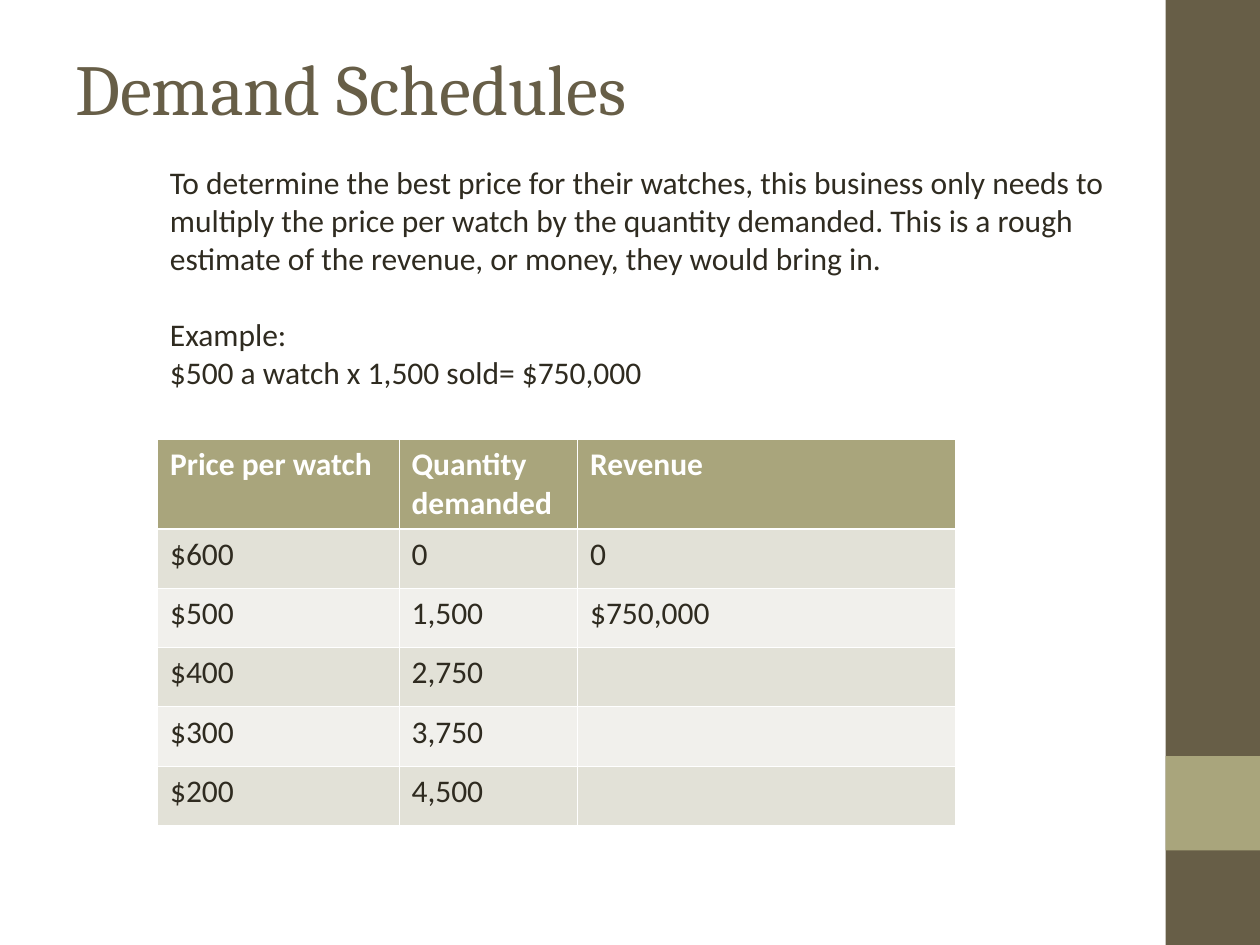
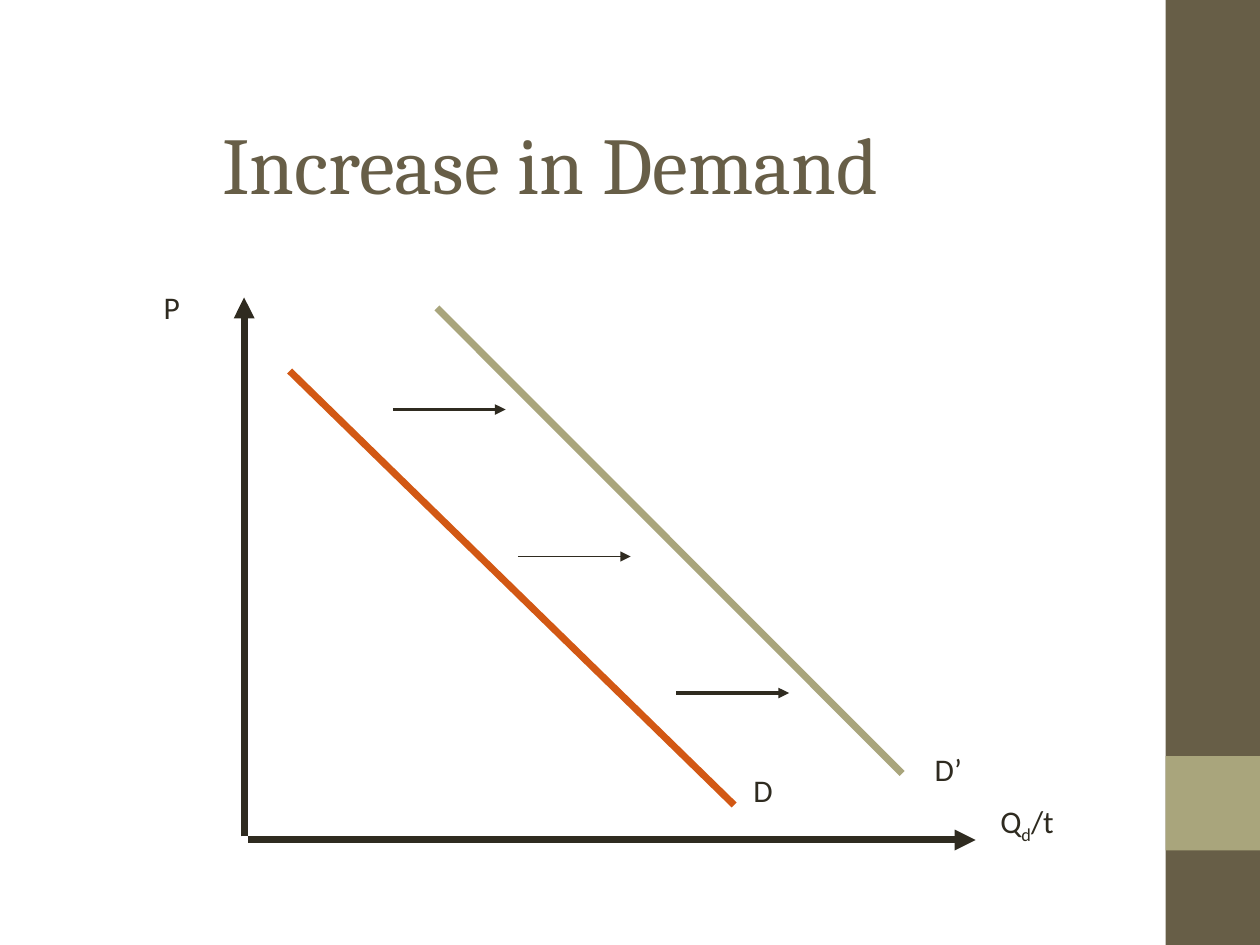
from typing import NamedTuple

from lxml.etree import SubElement
from pptx import Presentation
from pptx.dml.color import RGBColor
from pptx.enum.shapes import MSO_CONNECTOR, MSO_SHAPE
from pptx.enum.text import MSO_ANCHOR
from pptx.oxml.ns import qn
from pptx.slide import Slide
from pptx.table import _Cell
from pptx.text.text import TextFrame, _Paragraph
from pptx.util import Pt

COLORS = {
    "background": "FFFFFF",
    "brown": "675E47",
    "olive": "A9A57C",
    "ink": "2F2B20",
    "orange": "D25814",
    "band_dark": "E2E1D7",
    "band_light": "F1F0EC",
    "white": "FFFFFF",
}
TITLE_FONT = "Cambria"
BODY_FONT = "Calibri"
BODY_SIZE = 18
BODY_LINE = 21.8


class Area(NamedTuple):
    left: float
    top: float
    width: float
    height: float


class Span(NamedTuple):
    text: str
    subscript: bool = False


class Label(NamedTuple):
    spans: list[Span]
    area: Area


class Line(NamedTuple):
    start: tuple[float, float]
    end: tuple[float, float]
    color: str
    weight: float
    arrow: bool = False


SIDEBAR = [
    (Area(666, 0, 54, 540), "brown"),
    (Area(666, 432, 54, 54), "olive"),
]

EXPLANATION = (
    "To determine the best price for their watches, this business only needs to "
    "multiply the price per watch by the quantity demanded. This is a rough "
    "estimate of the revenue, or money, they would bring in."
)
EXAMPLE = ["Example:", "$500 a watch x 1,500 sold= $750,000"]

SCHEDULE = [
    ["Price per watch", "Quantity demanded", "Revenue"],
    ["$600", "0", "0"],
    ["$500", "1,500", "$750,000"],
    ["$400", "2,750", ""],
    ["$300", "3,750", ""],
    ["$200", "4,500", ""],
]
SCHEDULE_WIDTHS = [138, 102, 216]
HEADER_HEIGHT = 51
ROW_HEIGHT = 33.9

AXES_AND_CURVES = [
    Line((139.5, 478), (139.5, 170), "ink", 4, arrow=True),
    Line((141.5, 480), (557.5, 480), "ink", 4, arrow=True),
    Line((165.5, 212), (419.5, 460), "orange", 4),
    Line((249.7, 176), (515.5, 442), "olive", 4),
]
SHIFT_ARROWS = [
    Line((left, top), (left + 64.4, top), "ink", weight, arrow=True)
    for left, top, weight in [(224.5, 234, 2), (296, 318, 1), (386.5, 396, 2)]
]
LABELS = [
    Label([Span("P")], Area(86.4, 160.8, 30, 29)),
    Label([Span("Q"), Span("d", subscript=True), Span("/t")],
          Area(564.5, 455, 71, 32)),
    Label([Span("D")], Area(423.5, 437, 30, 29)),
    Label([Span("D’")], Area(527, 425, 40, 29)),
]


def rgb(name: str) -> RGBColor:
    return RGBColor.from_string(COLORS[name])


def points(area: Area) -> list[Pt]:
    return [Pt(length) for length in area]


def add_span(para: _Paragraph, span: Span, size: float = BODY_SIZE,
             color: str = "ink", font: str = BODY_FONT, bold: bool = False) -> None:
    run = para.add_run()
    run.text = span.text
    run.font.name = font
    run.font.size = Pt(size)
    run.font.bold = bold
    run.font.color.rgb = rgb(color)
    if span.subscript:
        run._r.get_or_add_rPr().set("baseline", "-25000")


def add_box(page: Slide, area: Area) -> TextFrame:
    frame = page.shapes.add_textbox(*points(area)).text_frame
    frame.word_wrap = True
    return frame


def add_page(deck, title: str, title_area: Area, title_size: float) -> Slide:
    """Add a blank page with the sidebar and a title."""
    page = deck.slides.add_slide(deck.slide_layouts[6])
    page.background.fill.solid()
    page.background.fill.fore_color.rgb = rgb("background")
    for area, color in SIDEBAR:
        band = page.shapes.add_shape(MSO_SHAPE.RECTANGLE, *points(area))
        band.shadow.inherit = False
        band.fill.solid()
        band.fill.fore_color.rgb = rgb(color)
        band.line.fill.background()
    frame = add_box(page, title_area)
    frame.vertical_anchor = MSO_ANCHOR.MIDDLE
    add_span(frame.paragraphs[0], Span(title), title_size, "brown", TITLE_FONT)
    return page


def add_line(page: Slide, line: Line) -> None:
    ends = [Pt(length) for length in (*line.start, *line.end)]
    connector = page.shapes.add_connector(MSO_CONNECTOR.STRAIGHT, *ends)
    connector.line.color.rgb = rgb(line.color)
    connector.line.width = Pt(line.weight)
    if line.arrow:
        SubElement(connector.line._get_or_add_ln(), qn("a:tailEnd"), type="triangle")
    SubElement(connector._element.spPr, qn("a:effectLst"))


def set_border(cell: _Cell, side: str, weight: float) -> None:
    border = SubElement(cell._tc.get_or_add_tcPr(), qn(f"a:ln{side}"), w=str(Pt(weight)))
    fill = SubElement(border, qn("a:solidFill"))
    SubElement(fill, qn("a:srgbClr"), val=COLORS["white"])


def add_schedule(page: Slide) -> None:
    body_rows = len(SCHEDULE) - 1
    area = Area(90, 251.2, sum(SCHEDULE_WIDTHS), HEADER_HEIGHT + body_rows * ROW_HEIGHT)
    table = page.shapes.add_table(
        len(SCHEDULE), len(SCHEDULE_WIDTHS), *points(area)).table
    table.first_row = table.horz_banding = False
    for column, width in zip(table.columns, SCHEDULE_WIDTHS):
        column.width = Pt(width)
    for row, texts in enumerate(SCHEDULE):
        header = row == 0
        table.rows[row].height = Pt(HEADER_HEIGHT if header else ROW_HEIGHT)
        fill = "olive" if header else "band_dark" if row % 2 else "band_light"
        heavy_side = {0: "B", 1: "T"}.get(row)
        for column, text in enumerate(texts):
            cell = table.cell(row, column)
            for side in "LRTB":
                set_border(cell, side, 1.5 if side == heavy_side else 0.45)
            cell.fill.solid()
            cell.fill.fore_color.rgb = rgb(fill)
            if text:
                add_span(cell.text_frame.paragraphs[0], Span(text),
                         color="white" if header else "ink", bold=header)


def build_schedule_page(deck) -> None:
    page = add_page(deck, "Demand Schedules", Area(36, 21.6, 648, 56), 41)
    add_schedule(page)
    frame = add_box(page, Area(90, 89.8, 564, 158))
    add_span(frame.paragraphs[0], Span(EXPLANATION))
    example = frame.add_paragraph()
    example.space_before = Pt(BODY_LINE)
    heading, sum_line = EXAMPLE
    add_span(example, Span(heading))
    example.add_line_break()
    add_span(example, Span(sum_line))


def build_increase_page(deck) -> None:
    page = add_page(deck, "Increase in Demand", Area(120, 48, 600, 90), 46)
    for line in AXES_AND_CURVES + SHIFT_ARROWS:
        add_line(page, line)
    for label in LABELS:
        para = add_box(page, label.area).paragraphs[0]
        for span in label.spans:
            add_span(para, span)


def main() -> None:
    deck = Presentation()
    deck.slide_width, deck.slide_height = Pt(720), Pt(540)
    build_schedule_page(deck)
    build_increase_page(deck)
    deck.save("out.pptx")


if __name__ == "__main__":
    main()
